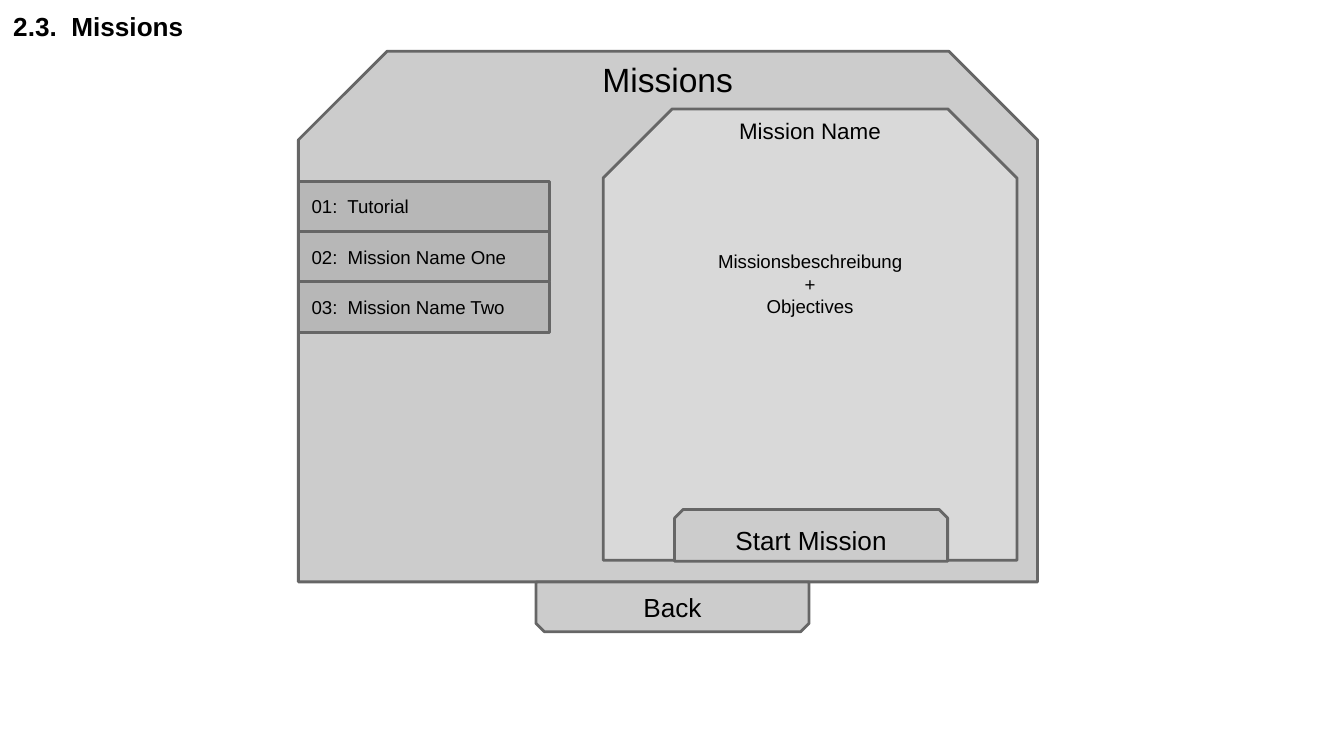
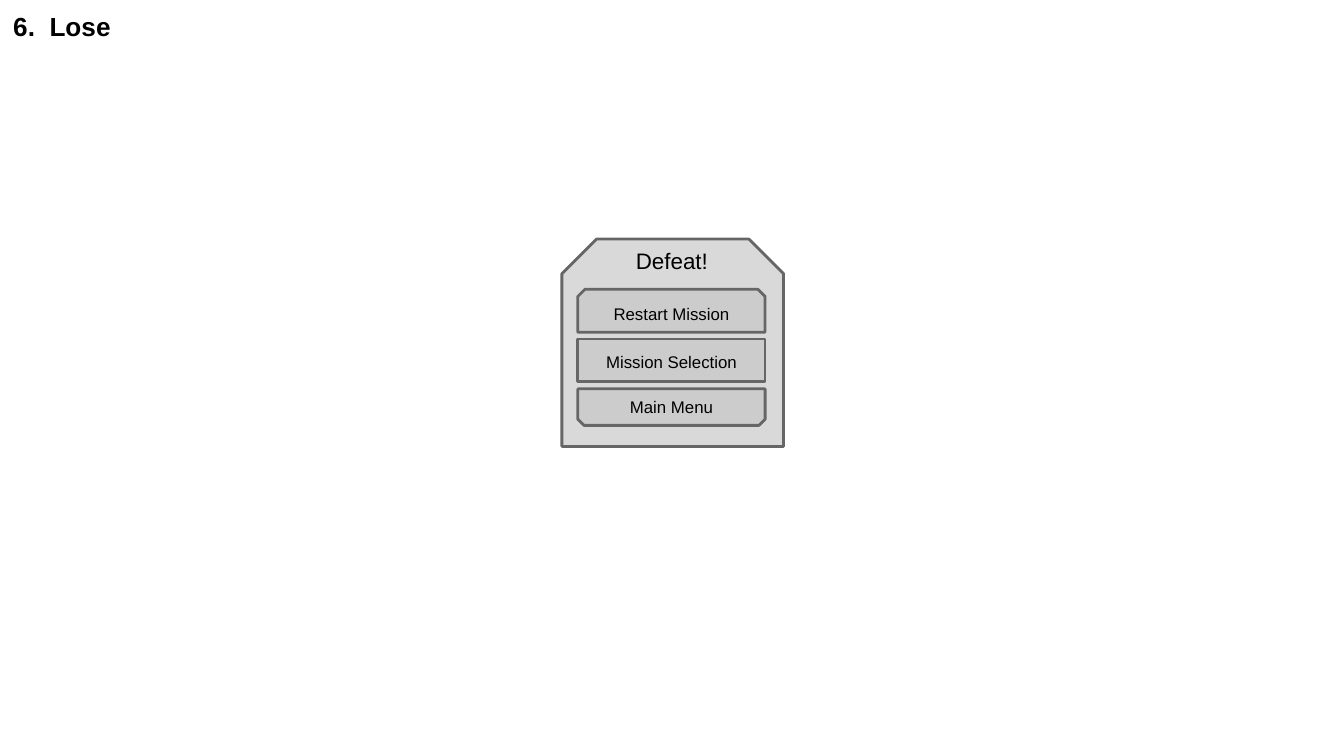
"""Build the mission selection and defeat menu wireframes."""
from pptx import Presentation
from pptx.dml.color import RGBColor
from pptx.enum.shapes import MSO_SHAPE as Shape
from pptx.enum.text import MSO_ANCHOR as Anchor, MSO_AUTO_SIZE as AutoSize, PP_ALIGN as Align
from pptx.util import Cm, Pt

COLOURS = {
    "text": "000000",
    "border": "666666",
    "entry": "B7B7B7",
    "button": "CCCCCC",
    "card": "D9D9D9",
}
FONT = "Arial"
SNIP = 0.167
INSET = 0.25

MISSIONS_TITLE = "2.3.  Missions"
MISSION_ENTRIES = ["01:  Tutorial", "02:  Mission Name One", "03:  Mission Name Two"]
MISSION_DETAILS = ["Missionsbeschreibung", "+", "Objectives"]
LOSE_TITLE = "6.  Lose"
DEFEAT_BUTTONS = [
    ("Restart Mission", "top", 0.81),
    ("Mission Selection", None, 0.81),
    ("Main Menu", "bottom", 0.69),
]


def colour(name):
    return RGBColor.from_string(COLOURS[name])


def write(holder, lines, size, align=Align.CENTER, anchor=Anchor.TOP, spacing=None, bold=False):
    frame = holder.text_frame
    frame.text = "\n".join(lines)
    frame.word_wrap = True
    frame.auto_size = AutoSize.NONE
    frame.vertical_anchor = anchor
    frame.margin_left = frame.margin_right = Cm(INSET)
    frame.margin_top = frame.margin_bottom = Cm(INSET)
    for paragraph in frame.paragraphs:
        paragraph.alignment = align
        if spacing:
            paragraph.line_spacing = spacing
        for run in paragraph.runs:
            run.font.name = FONT
            run.font.size = Pt(size)
            run.font.bold = bold
            run.font.color.rgb = colour("text")
    return frame.paragraphs


def add_box(slide, box, fill, snipped=None):
    kind = Shape.SNIP_2_SAME_RECTANGLE if snipped else Shape.RECTANGLE
    outline = slide.shapes.add_shape(kind, *map(Cm, box))
    if snipped:
        outline.adjustments[0] = SNIP
        outline.adjustments[1] = 0
    if snipped == "bottom":
        outline.rotation = 180
    outline.shadow.inherit = False
    outline.fill.solid()
    outline.fill.fore_color.rgb = colour(fill)
    outline.line.color.rgb = colour("border")
    outline.line.width = Pt(1.5)
    return outline


def add_label(slide, box, lines, size, anchor=Anchor.TOP):
    return write(slide.shapes.add_textbox(*map(Cm, box)), lines, size, anchor=anchor)


def add_button(slide, box, label, size, snipped=None):
    button = add_box(slide, box, "button", snipped)
    if snipped == "bottom":
        add_label(slide, box, [label], size, Anchor.MIDDLE)
    else:
        write(button, [label], size, anchor=Anchor.MIDDLE, spacing=1.15)


def add_titled_slide(deck, heading):
    slide = deck.slides.add_slide(deck.slide_layouts[5])
    title = slide.shapes.title
    title.left, title.top, title.width, title.height = map(Cm, (0, 0, 21.59, 1.04))
    write(title, [heading], 14, Align.LEFT, Anchor.BOTTOM, bold=True)
    return slide


def build_missions(deck):
    slide = add_titled_slide(deck, MISSIONS_TITLE)
    add_box(slide, (5.64, 0.97, 13.97, 10.03), "button", "top")
    add_label(slide, (7.54, 0.86, 10.16, 1.22), ["Missions"], 18)

    for row, entry in enumerate(MISSION_ENTRIES):
        entry_box = add_box(slide, (5.64, 3.43 + row * 0.95, 4.75, 0.95), "entry")
        write(entry_box, [entry], 10, Align.LEFT, Anchor.MIDDLE)

    add_box(slide, (11.4, 2.06, 7.82, 8.53), "card", "top")
    name, *details = add_label(
        slide, (11.4, 1.96, 7.82, 8.38), ["Mission Name", *MISSION_DETAILS], 10)
    name.runs[0].font.size = Pt(12)
    details[0].space_before = Pt(57)

    add_box(slide, (10.13, 11, 5.16, 0.94), "button", "bottom")
    add_label(slide, (10.13, 10.92, 5.16, 0.86), ["Back"], 14)
    add_button(slide, (12.75, 9.63, 5.16, 0.98), "Start Mission", 14, "top")


def build_lose(deck):
    slide = add_titled_slide(deck, LOSE_TITLE)
    add_box(slide, (10.62, 4.52, 4.19, 3.92), "card", "top")
    add_label(slide, (7.62, 4.42, 10.16, 1.22), ["Defeat!"], 12)
    for row, (label, snipped, height) in enumerate(DEFEAT_BUTTONS):
        add_button(slide, (10.92, 5.47 + row * 0.94, 3.54, height), label, 9, snipped)


def main():
    deck = Presentation()
    deck.slide_width, deck.slide_height = Cm(25.4), Cm(14.29)
    build_missions(deck)
    build_lose(deck)
    deck.save("out.pptx")


if __name__ == "__main__":
    main()
